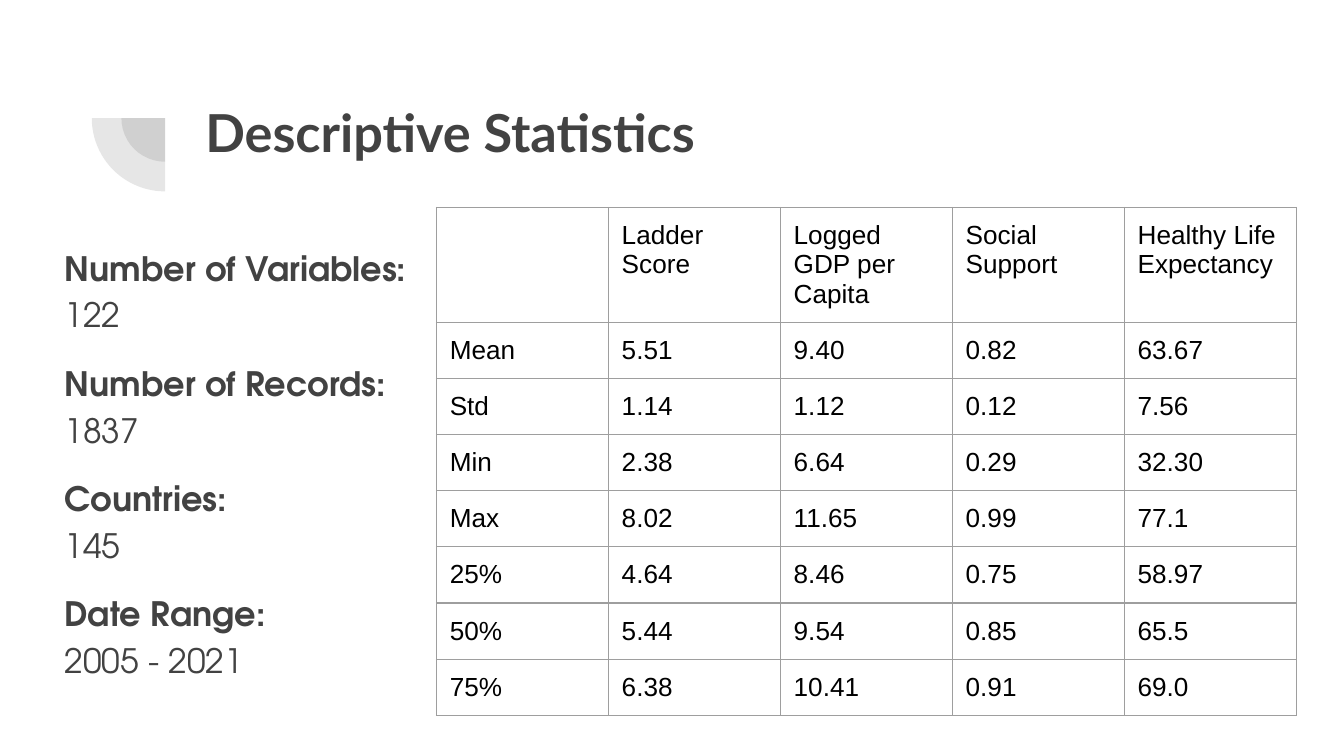
from lxml import etree
from pptx import Presentation
from pptx import util as u
from pptx.dml.color import RGBColor
from pptx.enum import shapes, text
from pptx.oxml import ns

CHARCOAL = RGBColor(0x42, 0x42, 0x42)
BLACK = RGBColor(0, 0, 0)
BORDER = RGBColor(0x9E, 0x9E, 0x9E)
INSET = u.Cm(0.25)
FRAME_FORMAT = {
    "margin_left": INSET, "margin_right": INSET,
    "margin_top": INSET, "margin_bottom": INSET,
    "vertical_anchor": text.MSO_ANCHOR.TOP, "word_wrap": True,
    "auto_size": text.MSO_AUTO_SIZE.NONE,
}
CELL_FORMAT = {key: value for key, value in FRAME_FORMAT.items()
               if key.startswith(("margin", "vertical"))}


def set_format(target, values):
    for name, value in values.items():
        setattr(target, name, value)


def add_run(paragraph, words, name, size, color, bold=False):
    run = paragraph.add_run()
    run.text = words
    set_format(run.font, {"name": name, "size": u.Pt(size), "bold": bold})
    run.font.color.rgb = color


presentation = Presentation()
presentation.slide_width = u.Cm(25.4)
presentation.slide_height = u.Cm(14.28)
slide = presentation.slides.add_slide(presentation.slide_layouts[5])

center_x, center_y = 3.12, 2.23
for diameter in (1.65, 2.77):
    pie = slide.shapes.add_shape(
        shapes.MSO_SHAPE.PIE,
        u.Cm(center_x - diameter / 2), u.Cm(center_y - diameter / 2),
        u.Cm(diameter), u.Cm(diameter))
    pie.adjustments[0] = 108
    pie.adjustments[1] = 162
    pie.rotation = 270
    pie.shadow.inherit = False
    pie.line.fill.background()
    pie.fill.solid()
    pie.fill.fore_color.rgb = CHARCOAL
    color = pie.fill._xPr.find(".//" + ns.qn("a:srgbClr"))
    etree.SubElement(color, ns.qn("a:alpha"), val="13000")

title = slide.shapes.title
set_format(title, {"left": u.Cm(3.63), "top": u.Cm(1.65),
                   "width": u.Cm(19.53), "height": u.Cm(2.77)})
set_format(title.text_frame, FRAME_FORMAT)
paragraph = title.text_frame.paragraphs[0]
paragraph.alignment = text.PP_ALIGN.LEFT
add_run(paragraph, "Descriptive Statistics", "Lato", 28, CHARCOAL, True)

facts = [
    ("Number of Variables:", "122"),
    ("Number of Records:", "1837"),
    ("Countries:", "145"),
    ("Date Range:", "2005 - 2021"),
]
summary = slide.shapes.add_textbox(u.Cm(0.97), u.Cm(4.32), u.Cm(7.06), u.Cm(8.99))
frame = summary.text_frame
set_format(frame, FRAME_FORMAT)
for index, (label, value) in enumerate(facts):
    paragraph = frame.add_paragraph() if index else frame.paragraphs[0]
    set_format(paragraph, {"line_spacing": 1.15,
                           "space_before": u.Pt(12 if index else 0)})
    add_run(paragraph, label, "TeX Gyre Adventor", 18, CHARCOAL, True)
    paragraph.add_line_break()
    add_run(paragraph, value, "TeX Gyre Adventor", 18, CHARCOAL)

statistics = [
    ("", "Ladder Score", "Logged GDP per Capita", "Social Support",
     "Healthy Life Expectancy"),
    ("Mean", "5.51", "9.40", "0.82", "63.67"),
    ("Std", "1.14", "1.12", "0.12", "7.56"),
    ("Min", "2.38", "6.64", "0.29", "32.30"),
    ("Max", "8.02", "11.65", "0.99", "77.1"),
    ("25%", "4.64", "8.46", "0.75", "58.97"),
    ("50%", "5.44", "9.54", "0.85", "65.5"),
    ("75%", "6.38", "10.41", "0.91", "69.0"),
]
column_width, header_height, row_height = u.Cm(3.25), u.Cm(2.17), u.Cm(1.06)
row_count, column_count = len(statistics), len(statistics[0])
table = slide.shapes.add_table(
    row_count, column_count, u.Cm(8.25), u.Cm(3.92),
    column_width * column_count,
    header_height + row_height * (row_count - 1)).table
set_format(table, {"first_row": False, "horz_banding": False})
for column in table.columns:
    column.width = column_width
for row_index, values in enumerate(statistics):
    table.rows[row_index].height = row_height if row_index else header_height
    for column_index, value in enumerate(values):
        cell = table.cell(row_index, column_index)
        set_format(cell, CELL_FORMAT)
        cell.fill.background()
        if value:
            add_run(cell.text_frame.paragraphs[0], value, "Arial", 14, BLACK)
        properties = cell._tc.get_or_add_tcPr()
        for position, side in enumerate(("lnL", "lnR", "lnT", "lnB")):
            border = etree.Element(ns.qn("a:" + side), w=str(u.Pt(0.75)))
            fill = etree.SubElement(border, ns.qn("a:solidFill"))
            etree.SubElement(fill, ns.qn("a:srgbClr"), val=str(BORDER))
            properties.insert(position, border)

presentation.save("out.pptx")
